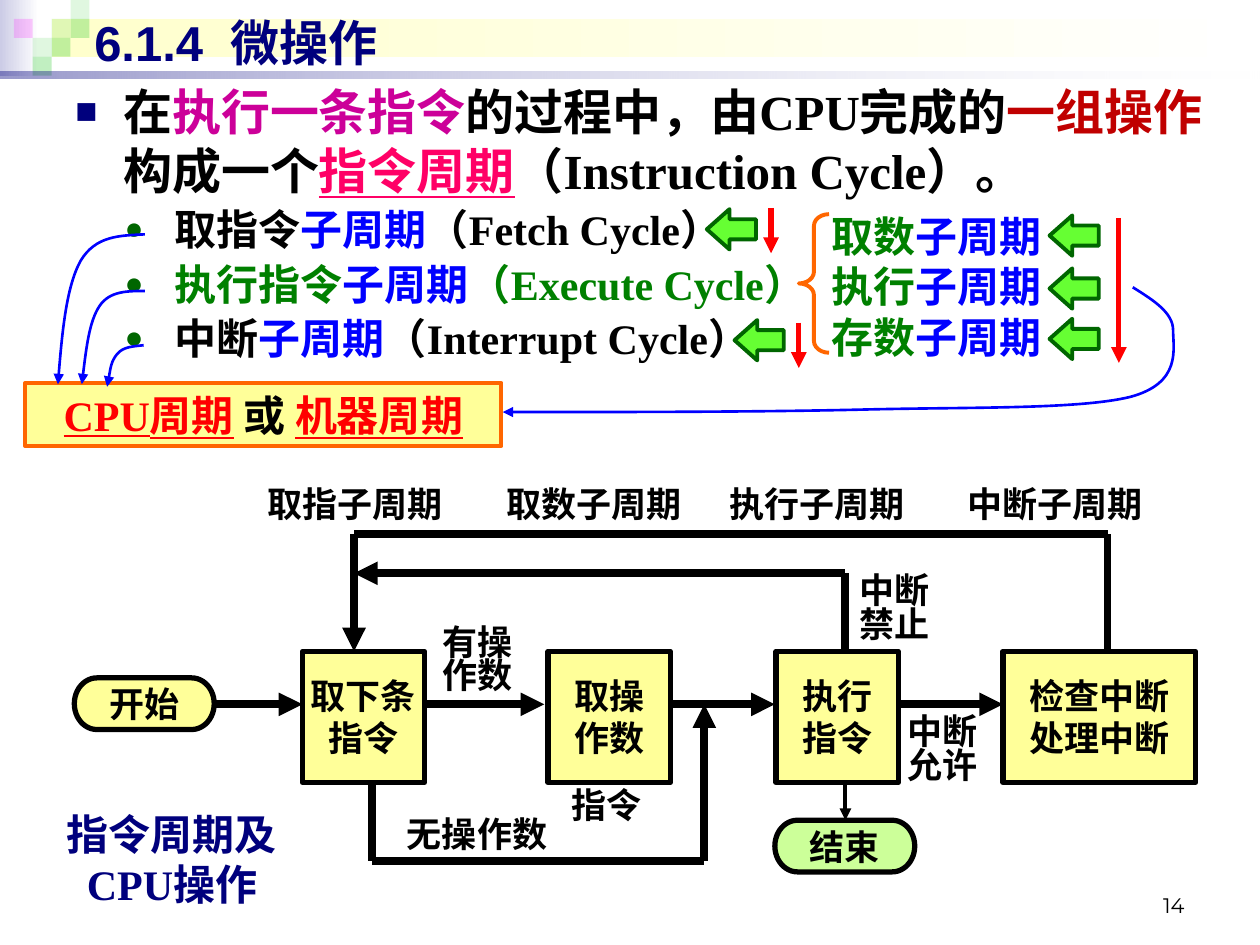
from lxml.etree import SubElement as Sub
from pptx import Presentation
from pptx.dml.color import RGBColor as RGB
from pptx.enum.shapes import MSO_CONNECTOR as Conn, MSO_SHAPE as Geo
from pptx.enum.text import MSO_ANCHOR as Anchor, PP_ALIGN as Align
from pptx.oxml.ns import qn
from pptx.util import Inches, Pt

BLACK, WHITE = RGB(0, 0, 0), RGB(255, 255, 255)
NAVY, BLUE, RED = RGB(0, 0, 0x7D), RGB(0, 0, 255), RGB(255, 0, 0)
GREEN, DARK, LEAF = RGB(0, 0x80, 0), RGB(0, 0x66, 0), RGB(0x66, 255, 0x33)
MOSS, LIME = RGB(0x33, 0xCC, 0x33), RGB(0xCC, 255, 0x99)
CREAM, PALE = RGB(255, 255, 0x99), RGB(255, 255, 0xCC)
LILAC, PINK = RGB(0xCC, 0xCC, 0xE6), RGB(255, 0, 255)
PLUM, BRICK, ROSE = RGB(0xCC, 0, 0x99), RGB(0xC0, 0, 0), RGB(255, 0, 0x66)
ORANGE = RGB(255, 0x66, 0)
SERIF, SANS = "Times New Roman", "Arial"


def write(shape, paras, size, font=SERIF, bold=True, align=Align.LEFT,
          anchor=Anchor.MIDDLE, inset=(0, 0), wrap=True, space=None):
    """Fill a shape with paragraphs of (text, colour, underline) runs."""
    frame = shape.text_frame
    frame.word_wrap, frame.vertical_anchor = wrap, anchor
    frame.margin_left = frame.margin_right = Inches(inset[0])
    frame.margin_top = frame.margin_bottom = Inches(inset[1])
    for i, runs in enumerate(paras):
        para = frame.add_paragraph() if i else frame.paragraphs[0]
        para.alignment, para.line_spacing = align, space
        for words, color, *under in runs:
            for k, piece in enumerate(words.split("\n")):
                if k:
                    para.add_line_break()
                run = para.add_run()
                run.text = piece
                run.font.name, run.font.size, run.font.bold = font, Pt(size), bold
                run.font.color.rgb = color
                run.font.underline = bool(under)
    return frame.paragraphs


def plain(*lines, color=BLACK):
    """Make one single-run paragraph for each line."""
    return [[(line, color)] for line in lines]


def area(slide, x, y, w, h):
    """Add a text box."""
    return slide.shapes.add_textbox(*map(Inches, (x, y, w, h)))


def block(slide, geo, x, y, w, h, fill=None, edge=None, weight=2.25):
    """Add a preset shape with a plain fill and line."""
    shape = slide.shapes.add_shape(geo, *map(Inches, (x, y, w, h)))
    shape.shadow.inherit = False
    if fill is None:
        shape.fill.background()
    else:
        shape.fill.solid()
        shape.fill.fore_color.rgb = fill
    if edge is None:
        shape.line.fill.background()
    else:
        shape.line.color.rgb, shape.line.width = edge, Pt(weight)
    return shape


def fade(shape, *alphas):
    """Set the opacity of each fill colour in percent."""
    for node, alpha in zip(shape._element.spPr.iter(qn("a:srgbClr")), alphas):
        Sub(node, qn("a:alpha"), val=str(alpha * 1000))


def blend(shape, start, end):
    """Fill a shape with a left to right gradient."""
    shape.fill.gradient()
    shape.fill.gradient_angle = 0
    for stop, color in zip(shape.fill.gradient_stops, (start, end)):
        stop.color.rgb = color


def tip(shape):
    """Put a triangle at the end of a line."""
    Sub(shape._element.spPr.get_or_add_ln(), qn("a:tailEnd"), type="triangle")


def route(slide, points, color=BLACK, weight=4.5):
    """Join points with straight lines and an arrow at the last."""
    for a, b in zip(points, points[1:]):
        line = slide.shapes.add_connector(Conn.STRAIGHT, *map(Inches, a + b))
        line.line.color.rgb, line.line.width = color, Pt(weight)
        if b == points[-1]:
            tip(line)
        Sub(line._element.spPr, qn("a:effectLst"))


def curve(slide, x, y, knots):
    """Draw a blue arrow along joined cubic curves."""
    points = [(Inches(x + dx), Inches(y + dy)) for dx, dy in knots]
    pen = slide.shapes.build_freeform(*points[0])
    pen.add_line_segments(points[1:], close=False)
    shape = pen.convert_to_shape()
    lines = list(shape._element.iter(qn("a:lnTo")))
    for i in range(0, len(lines), 3):
        bend = Sub(lines[i].getparent(), qn("a:cubicBezTo"))
        for line in lines[i:i + 3]:
            bend.append(line[0])
            line.getparent().remove(line)
    shape.fill.background()
    shape.line.color.rgb, shape.line.width = BLUE, Pt(1.5)
    tip(shape)
    shape.shadow.inherit = False


def banner(slide, x, y, w, h):
    """Draw the header band with its squares and title."""
    blend(block(slide, Geo.RECTANGLE, x, y, 0.31, 0.6, WHITE), LILAC, WHITE)
    blend(block(slide, Geo.RECTANGLE, x + 0.41, y + 0.15, w - 0.45, 0.3, WHITE), PALE, WHITE)
    side = 0.15
    for col, row, color, alpha in ((2, 1, MOSS, 15), (3, 0, MOSS, 15), (3, 1, MOSS, 30),
                                   (1, 2, MOSS, 15), (0, 1, PINK, 20), (2, 2, MOSS, 30),
                                   (1, 3, MOSS, 30)):
        fade(block(slide, Geo.RECTANGLE, x + 0.11 + col * side, y + row * side,
                   side, side, color), alpha)
    rule = block(slide, Geo.RECTANGLE, x, y + h - 0.05, w, 0.05, WHITE)
    blend(rule, NAVY, WHITE)
    fade(rule, 40, 10)
    write(area(slide, x + 0.65, y + 0.05, w - 0.77, h - 0.05),
          plain("6.1.4  微操作", color=NAVY), 28, SANS, inset=(0.1, 0.05))


def bullet(para, mark, color, left, hang):
    """Give a paragraph a hanging coloured bullet."""
    props = para._p.get_or_add_pPr()
    props.set("marL", str(Inches(left)))
    props.set("indent", str(-Inches(hang)))
    Sub(Sub(props, qn("a:buClr")), qn("a:srgbClr"), val=str(color))
    Sub(props, qn("a:buSzPct"), val="75000")
    Sub(props, qn("a:buFont"), typeface=SANS)
    Sub(props, qn("a:buChar"), char=mark)


def body(slide, x, y, w, h):
    """Write the definition and its three cycles."""
    lead = [("在", BLACK), ("执行一条指令", PLUM), ("的过程中，由CPU完成的", BLACK),
            ("一组操作", BRICK), ("构成一个", BLACK), ("指令周期", ROSE, True),
            ("（Instruction Cycle）。", BLACK)]
    cycles = [[(name, color), ("子周期", BLUE), (term, color)] for name, term, color in (
        ("取指令", "（Fetch Cycle）", BLACK), ("执行指令", "（Execute Cycle）", GREEN),
        ("中断", "（Interrupt Cycle）", BLACK))]
    paras = write(area(slide, x, y, w, h), [lead] + cycles, 28,
                  anchor=Anchor.TOP, inset=(0.1, 0.05))
    for i, para in enumerate(paras):
        if i:
            para.level, para.space_before = 1, Pt(2.4)
            for run in para.runs:
                run.font.size = Pt(24)
        bullet(para, *(("●", DARK, 0.79, 0.4) if i else ("■", NAVY, 0.38, 0.38)))


def steps(slide, x, y, w, h):
    """Split the execute cycle and mark the order of all cycles."""
    write(area(slide, x + 0.89, y, w, h),
          [[(name, GREEN), ("子周期", BLUE)] for name in ("取数", "执行", "存数")],
          24, anchor=Anchor.TOP, inset=(0.1, 0.05))
    brace = block(slide, Geo.LEFT_BRACE, x + 0.73, y + 0.08, 0.24, 1.1, edge=ORANGE)
    brace.adjustments[0] = 0.386
    for dx, dy in ((0, 0.04), (2.72, 0.09), (2.72, 0.51), (2.72, 0.91), (0.22, 0.92)):
        arrow = block(slide, Geo.LEFT_ARROW, x + dx, y + dy, 0.39, 0.32, LEAF, DARK)
        arrow.adjustments[1] = 0.563
    for dx, dy, drop in ((0.51, 0.03, 0.36), (3.27, 0.11, 1.15), (0.73, 0.94, 0.36)):
        route(slide, [(x + dx, y + dy), (x + dx, y + dy + drop)], RED, 3)


def period(slide, x, y, w, h):
    """Draw the machine cycle box and the curves that reach it."""
    box = block(slide, Geo.RECTANGLE, x, y, w, h, CREAM, ORANGE)
    write(box, [[("CPU周期", RED, True), (" ", RED), ("或 ", BLACK), ("机器周期", RED, True)]],
          24, align=Align.CENTER, inset=(0.1, 0.05))
    for knots in (
        [(0.95, -0.73), (0.81, -0.73), (0.67, -0.73), (0.59, -0.61),
         (0.51, -0.49), (0.48, -0.24), (0.45, 0.01)],
        [(0.95, -1.18), (0.75, -1.17), (0.56, -1.17), (0.44, -0.97),
         (0.33, -0.77), (0.29, -0.38), (0.26, 0.01)],
        [(0.94, -0.3), (0.86, -0.29), (0.78, -0.29), (0.73, -0.23),
         (0.68, -0.17), (0.67, -0.07), (0.65, 0.03)],
        [(8.79, -0.76), (8.95, -0.66), (9.11, -0.56), (9.11, -0.42),
         (9.11, -0.27), (9.18, 0), (8.77, 0.11), (8.36, 0.21), (7.5, 0.19),
         (6.67, 0.21), (5.84, 0.23), (4.81, 0.23), (3.79, 0.23)],
    ):
        curve(slide, x, y, knots)


def heads(slide, x, y, w, h):
    """Write the four cycle names at tab stops on one line."""
    names = "\t".join(("取指子周期", "取数子周期", "执行子周期", "中断子周期"))
    para = write(block(slide, Geo.RECTANGLE, x, y, w, h, WHITE), plain(names), 20)[0]
    tabs = Sub(para._p.get_or_add_pPr(), qn("a:tabLst"))
    for stop in (1.9, 3.67, 5.56):
        Sub(tabs, qn("a:tab"), pos=str(Inches(stop)), algn="l")


def flow(slide, x, y, w, h):
    """Draw the flow chart of the instruction cycle."""
    mid, top, tall = 1.76, 1.34, 1.04
    foot = top + tall
    heads(slide, x + 1.53, y, 7.19, 0.34)
    for points in (
        [(1.11, mid), (1.81, mid)], [(2.78, mid), (3.73, mid)],
        [(4.73, mid), (5.56, mid)], [(6.53, mid), (7.37, mid)],
        [(6.12, top), (6.12, 0.72), (2.22, 0.72)],
        [(8.2, top), (8.2, 0.41), (2.22, 0.41), (2.22, top)],
        [(2.36, foot), (2.36, h), (5, h), (5, mid)],
    ):
        route(slide, [(x + dx, y + dy) for dx, dy in points])
    route(slide, [(x + 6.12, y + foot), (x + 6.12, y + 2.68)], weight=2.25)
    for dx, wide, inset, lines in (
        (1.81, 0.97, 0, ("取下条", "指令")), (3.76, 0.97, 0.1, ("取操作数",)),
        (5.57, 0.97, 0.1, ("执行", "指令")), (7.37, w - 7.37, 0, ("检查中断", "处理中断")),
    ):
        box = block(slide, Geo.RECTANGLE, x + dx, y + top, wide, tall, CREAM, BLACK, 3)
        write(box, plain(*lines), 20, SANS, align=Align.CENTER, inset=(inset, 0))
    for dx, dy, fill, name in ((0, 1.55, CREAM, "开始"), (5.56, 2.68, LIME, "结束")):
        box = block(slide, Geo.FLOWCHART_TERMINATOR, x + dx, y + dy, 1.11, 0.41, fill, BLACK, 3)
        write(box, plain(name), 20, align=Align.CENTER)
    for dx, dy, wide, high, lines in (
        (2.92, 1.16, 0.56, 0.53, ("有操", "作数")), (6.23, 0.75, 0.56, 0.53, ("中断", "禁止")),
        (6.61, 1.87, 0.56, 0.53, ("中断", "允许")), (2.64, 2.68, 1.12, 0.27, ("无操作数",)),
    ):
        write(area(slide, x + dx, y + dy, wide, high), plain(*lines), 20, wrap=False, space=0.8)
    write(area(slide, x + 3.84, y + 2.34, 0.77, 0.44), plain("指令"), 20,
          align=Align.CENTER, anchor=Anchor.TOP, inset=(0.1, 0.05), wrap=False)


def footer(slide, x, y, w, h):
    """Write the caption and the page number."""
    write(block(slide, Geo.RECTANGLE, x, y, 2.03, 0.81, WHITE),
          plain("指令周期及\nCPU操作", color=NAVY), 24, align=Align.CENTER)
    write(area(slide, x + w - 2.33, y + h - 0.5, 2.33, 0.5), plain("14"), 12, "Montserrat",
          False, Align.RIGHT, Anchor.BOTTOM, (0.1, 0.05))


def main():
    """Build and save the slide."""
    deck = Presentation()
    deck.slide_width, deck.slide_height = Inches(10), Inches(7.5)
    slide = deck.slides.add_slide(deck.slide_layouts[6])
    banner(slide, 0, 0, 10, 0.62)
    body(slide, 0.5, 0.6, 9.38, 2.6)
    flow(slide, 0.59, 3.83, 8.9, 3)
    steps(slide, 5.61, 1.62, 2.2, 1.31)
    period(slide, 0.2, 3.04, 3.78, 0.5)
    footer(slide, 0.35, 6.41, 9.15, 0.92)
    deck.save("out.pptx")


if __name__ == "__main__":
    main()
